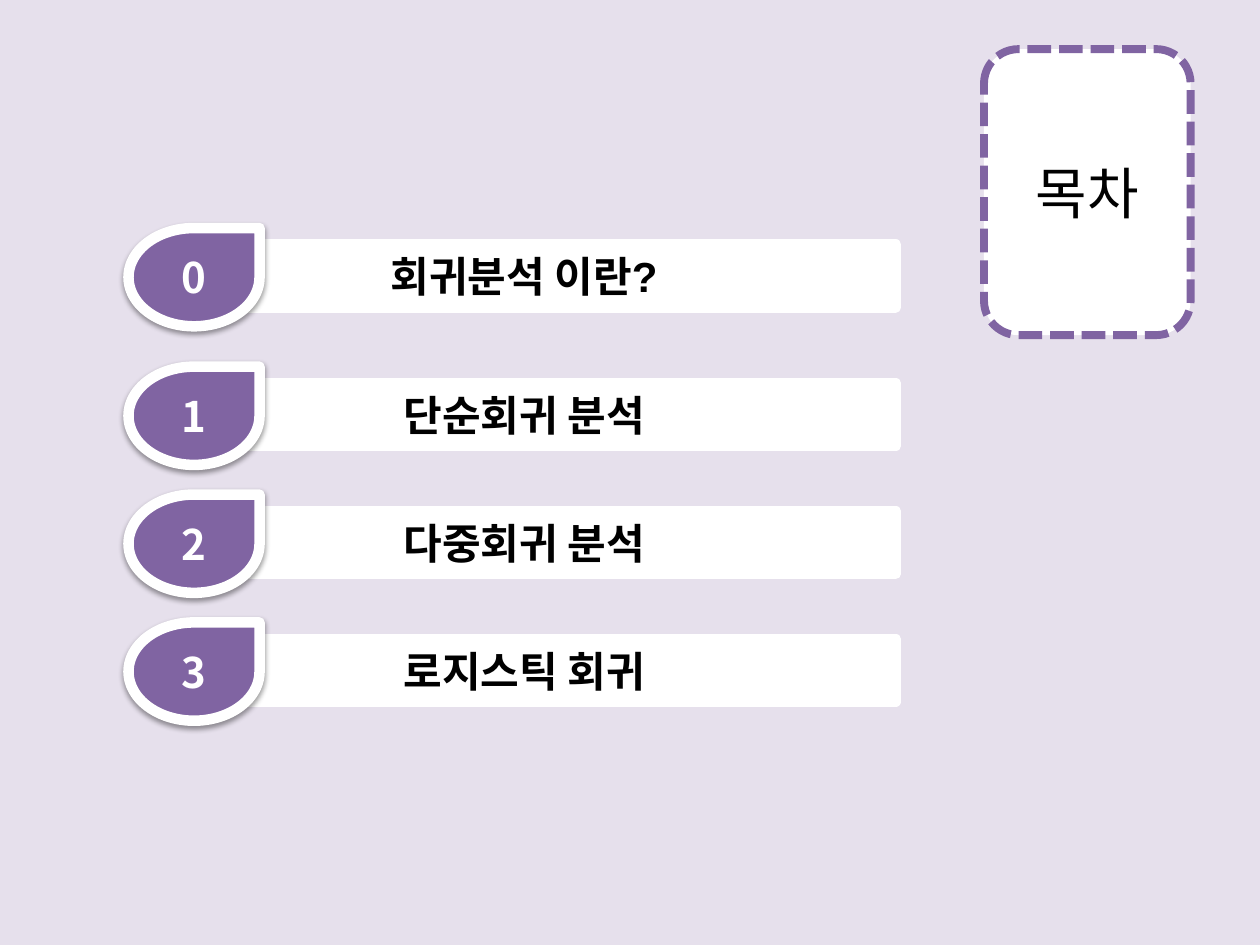
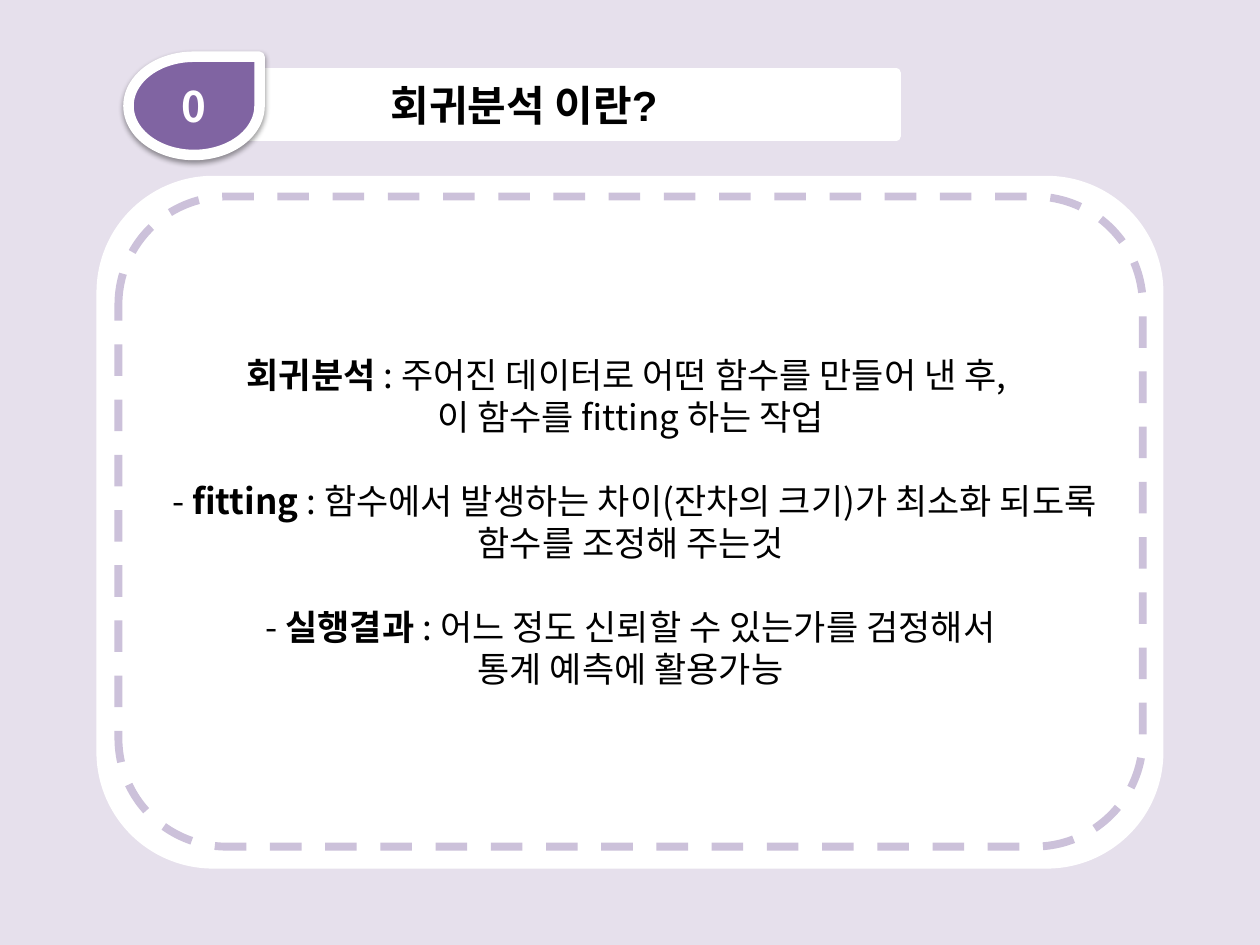
"""Builds a contents slide and a definition slide on regression analysis."""
import pptx
import pptx.util
import pptx.dml.color
import pptx.enum.dml
import pptx.enum.shapes
import pptx.enum.text
import pptx.oxml
import pptx.oxml.ns

Inches, Pt = pptx.util.Inches, pptx.util.Pt
SHAPE = pptx.enum.shapes.MSO_SHAPE
DASH = pptx.enum.dml.MSO_LINE
NOTO, ARIAL = "Noto Sans CJK KR", "Arial"
PAPER, WHITE, BLACK, PURPLE, LILAC = "E6E0EC", "FFFFFF", "000000", "8064A2", "CCC1DA"

CONTENTS_TITLE = "목차"
TOPICS = ["회귀분석 이란?", "단순회귀 분석", "다중회귀 분석", "로지스틱 회귀"]
TOPIC_TOPS = [1.81, 2.91, 3.925, 4.94]
HEADER_TOP = 0.45

DEFINITIONS = [
    [[("회귀분석 ", True), (": 주어진 데이터로 어떤 함수를 만들어 낸 후, ", False)],
     [("이 함수를 fitting 하는 작업", False)]],
    [[(" - ", False), ("fitting", True),
      (" : 함수에서 발생하는 차이(잔차의 크기)가 최소화 되도록 함수를 조정해 주는것", False)]],
    [[(" - ", False), ("실행결과 ", True),
      (": 어느 정도 신뢰할 수 있는가를 검정해서 ", False)],
     [("통계 예측에 활용가능", False)]],
]

BADGE_TEXT = {"size": Pt(24), "name": NOTO, "bold": True}
TOPIC_TEXT = {"size": Pt(24), "name": ARIAL, "bold": True}
TITLE_TEXT = {"size": Pt(32), "name": NOTO, "bold": False}
BODY_TEXT = {"size": Pt(20), "name": NOTO}

SHADOW = ('<a:outerShdw %s blurRad="%d" dist="%d" dir="5400000" algn="t" rotWithShape="0">'
          '<a:srgbClr val="000000"><a:alpha val="38000"/></a:srgbClr></a:outerShdw>'
          % (pptx.oxml.ns.nsdecls("a"), Pt(3.1), Pt(1.6)))


def rgb(value):
    return pptx.dml.color.RGBColor.from_string(value)


def add_slide(prs):
    s = prs.slides.add_slide(prs.slide_layouts[6])
    s.background.fill.solid()
    s.background.fill.fore_color.rgb = rgb(PAPER)
    return s


def add_box(shapes, kind, at, fill, line, width, dash=None):
    sp = shapes.add_shape(kind, *map(Inches, at))
    sp.shadow.inherit = False
    sp.fill.solid()
    sp.fill.fore_color.rgb = rgb(fill)
    sp.line.color.rgb = rgb(line)
    sp.line.width = Pt(width)
    if dash:
        sp.line.dash_style = dash
    sp.text_frame.word_wrap = True
    sp.text_frame.vertical_anchor = pptx.enum.text.MSO_ANCHOR.MIDDLE
    return sp


def add_run(p, text, color, style):
    p.alignment = pptx.enum.text.PP_ALIGN.CENTER
    r = p.add_run()
    r.text = text
    for key, value in style.items():
        setattr(r.font, key, value)
    r.font.color.rgb = rgb(color)
    ea = pptx.oxml.parse_xml('<a:ea %s typeface="%s"/>' % (pptx.oxml.ns.nsdecls("a"), NOTO))
    r.font._element.append(ea)


def add_topic(s, number, top):
    shapes = s.shapes.add_group_shape().shapes
    bar = add_box(shapes, SHAPE.RECTANGLE, (1.21, top + 0.13, 5.9, 0.5), WHITE, WHITE, 6)
    add_run(bar.text_frame.paragraphs[0], TOPICS[number], BLACK, TOPIC_TEXT)
    badge = add_box(shapes, SHAPE.TEAR, (1.02, top, 1.04, 0.78), PURPLE, WHITE, 6)
    effects = badge._element.spPr.find(pptx.oxml.ns.qn("a:effectLst"))
    effects.append(pptx.oxml.parse_xml(SHADOW))
    add_run(badge.text_frame.paragraphs[0], str(number), WHITE, BADGE_TEXT)


def add_definitions(s):
    shapes = s.shapes.add_group_shape().shapes
    kind = SHAPE.FLOWCHART_ALTERNATE_PROCESS
    add_box(shapes, kind, (0.78, 1.41, 8.44, 5.47), WHITE, WHITE, 2)
    panel = add_box(shapes, kind, (0.94, 1.56, 8.13, 5.16), WHITE, LILAC, 4.5, DASH.DASH)
    tf = panel.text_frame
    for i, block in enumerate(DEFINITIONS):
        for j, line in enumerate(block):
            p = tf.add_paragraph() if i or j else tf.paragraphs[0]
            p.line_spacing = Pt(24)
            p.space_before = Pt(24 if i and not j else 0)
            for text, bold in line:
                add_run(p, text, BLACK, {**BODY_TEXT, "bold": bold})


prs = pptx.Presentation()
prs.slide_width, prs.slide_height = Inches(10), Inches(7.5)

s = add_slide(prs)
card = add_box(s.shapes, SHAPE.ROUNDED_RECTANGLE, (7.81, 0.39, 1.64, 2.27),
               WHITE, PURPLE, 4.5, DASH.SQUARE_DOT)
add_run(card.text_frame.paragraphs[0], CONTENTS_TITLE, BLACK, TITLE_TEXT)
for number, top in enumerate(TOPIC_TOPS):
    add_topic(s, number, top)

s = add_slide(prs)
add_definitions(s)
add_topic(s, 0, HEADER_TOP)

prs.save("out.pptx")
